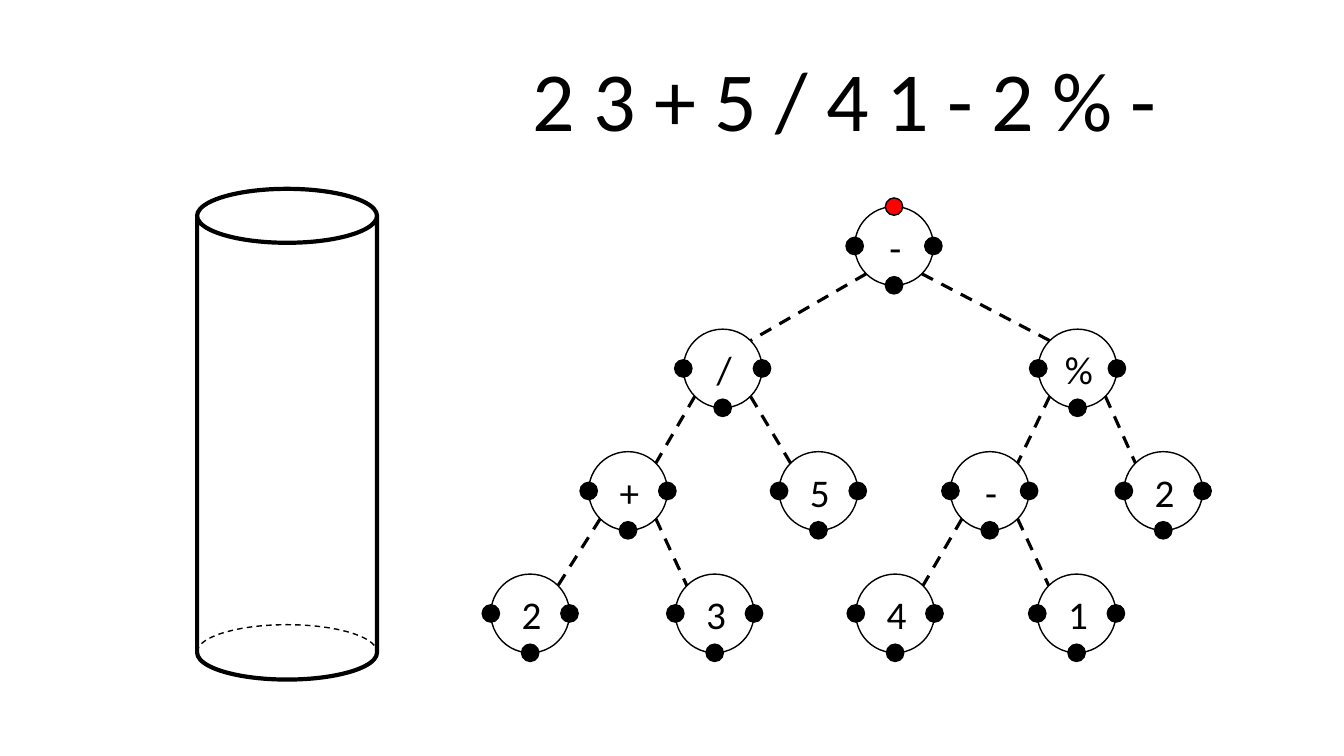
import math

import lxml.etree
import pptx
import pptx.dml.color
import pptx.enum.dml
import pptx.enum.shapes
import pptx.enum.text
import pptx.oxml.ns
import pptx.util

Pt = pptx.util.Pt
SHAPE = pptx.enum.shapes.MSO_SHAPE
DASH = pptx.enum.dml.MSO_LINE.DASH
COLORS = {"ink": "000000", "paper": "FFFFFF", "marker": "FF0000"}
FONT = "Calibri"

EXPRESSION = "2 3 + 5 / 4 1 - 2 % -"
TOKEN_WIDTHS = {"/": 38, "-": 33.4, "%": 57.8}
DIGIT_WIDTH = 45.3
TOKEN_OVERLAP = 1.9

NODE_SIZE = 56.2
DOT_SIZE = 12.4
LEVEL_GAP = 87.5
ROOT_Y = 34.7
# Each node: symbol, centre x within the tree box, children
TREE = ("-", 293.6, [
    ("/", 171.2, [
        ("+", 103.6, [("2", 33.7, []), ("3", 165.5, [])]),
        ("5", 239.6, [])]),
    ("%", 424.7, [
        ("-", 362, [("4", 294.4, []), ("1", 424, [])]),
        ("2", 485.9, [])])])


def rgb(name):
    """Return the named colour."""
    return pptx.dml.color.RGBColor.from_string(COLORS[name])


def add_outlined(shapes, preset, box, fill=None, width=1):
    """Add a black-outlined preset shape, unfilled unless a fill is named."""
    shape = shapes.add_shape(preset, *map(Pt, box))
    shape.shadow.inherit = False
    if fill:
        shape.fill.solid()
        shape.fill.fore_color.rgb = rgb(fill)
    else:
        shape.fill.background()
    shape.line.color.rgb = rgb("ink")
    shape.line.width = Pt(width)
    return shape


def add_circle(shapes, x, y, size, fill):
    """Add a circle centred on x, y."""
    box = (x - size / 2, y - size / 2, size, size)
    return add_outlined(shapes, SHAPE.OVAL, box, fill)


def add_symbol(shapes, box, symbol, size):
    """Add one centred symbol in a text box."""
    textbox = shapes.add_textbox(*map(Pt, box))
    frame = textbox.text_frame
    frame.word_wrap = False
    frame.margin_left = frame.margin_right = 0
    paragraph = frame.paragraphs[0]
    paragraph.text = symbol
    paragraph.alignment = pptx.enum.text.PP_ALIGN.CENTER
    paragraph.font.name = FONT
    paragraph.font.size = Pt(size)
    paragraph.font.color.rgb = rgb("ink")


def add_edge(shapes, parent, child):
    """Join two node centres by a dashed line between their diagonal points."""
    reach = NODE_SIZE / 2 * math.sqrt(0.5)
    side = math.copysign(reach, child[0] - parent[0])
    ends = (parent[0] + side, parent[1] + reach,
            child[0] - side, child[1] - reach)
    edge = shapes.add_connector(
        pptx.enum.shapes.MSO_CONNECTOR.STRAIGHT, *map(Pt, ends))
    edge.line.color.rgb = rgb("ink")
    edge.line.width = Pt(2.25)
    edge.line.dash_style = DASH
    lxml.etree.SubElement(
        edge._element.spPr, pptx.oxml.ns.qn("a:effectLst"))


def draw_expression(shapes, left, top, height):
    """Set the postfix tokens side by side from the left edge."""
    for token in EXPRESSION.split():
        width = TOKEN_WIDTHS.get(token, DIGIT_WIDTH)
        add_symbol(shapes, (left, top, width, height), token, 60)
        left += width - TOKEN_OVERLAP


def draw_stack(shapes, left, top, width, height):
    """Draw the empty stack as a can with a dashed base."""
    stack = shapes.add_group_shape().shapes
    can = add_outlined(
        stack, SHAPE.CAN, (left, top, width, height), "paper", 3)
    can.adjustments[0] = 0.3
    rim = width * 0.305
    base = add_outlined(
        stack, SHAPE.OVAL, (left, top + height - rim, width, rim))
    base.line.dash_style = DASH


def draw_node(shapes, x, y, symbol):
    """Draw a node with its symbol and left, bottom and right dots."""
    radius = NODE_SIZE / 2
    add_circle(shapes, x, y, NODE_SIZE, "paper")
    for dx, dy in ((-radius, 0), (0, radius), (radius, 0)):
        add_circle(shapes, x + dx, y + dy, DOT_SIZE, "ink")
    add_symbol(shapes, (x - 11, y - 19.8, 24, 41), symbol, 28)


def draw_subtree(shapes, left, y, subtree):
    """Draw a node, its descendants and the edges; return the node centre."""
    symbol, offset, children = subtree
    centre = (left + offset, y)
    below = [draw_subtree(shapes, left, y + LEVEL_GAP, child)
             for child in children]
    draw_node(shapes, *centre, symbol)
    for child_centre in below:
        add_edge(shapes, centre, child_centre)
    return centre


def draw_tree(shapes, left, top):
    """Draw the expression tree and the red marker on top of its root."""
    nodes = shapes.add_group_shape().shapes
    x, y = draw_subtree(nodes, left, top + ROOT_Y, TREE)
    add_circle(shapes, x, y - NODE_SIZE / 2, DOT_SIZE, "marker")


def main():
    """Build the slide and save it."""
    deck = pptx.Presentation()
    deck.slide_width, deck.slide_height = Pt(960), Pt(540)
    shapes = deck.slides.add_slide(deck.slide_layouts[6]).shapes
    draw_stack(shapes, 140.8, 134.9, 128.5, 350.5)
    draw_expression(shapes, 373, 30.2, 80)
    draw_tree(shapes, 345, 141)
    deck.save("out.pptx")


main()
